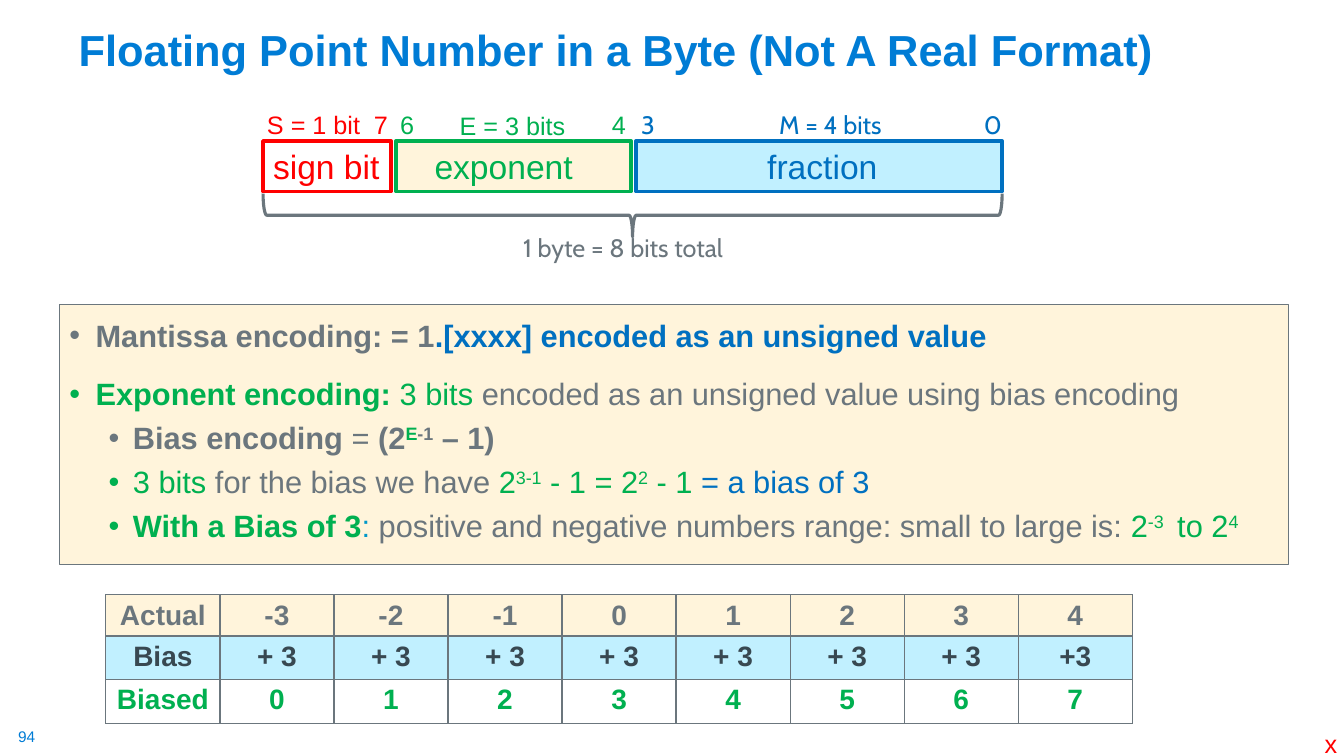
from pptx import Presentation
from pptx.dml.color import RGBColor
from pptx.enum.shapes import MSO_SHAPE
from pptx.enum.text import MSO_ANCHOR, MSO_AUTO_SIZE, PP_ALIGN
from pptx.oxml import parse_xml
from pptx.oxml.ns import nsdecls
from pptx.util import Inches, Pt

COLORS = {"accent": "007CD5", "gray": "6B767D", "blue": "0070C0", "green": "00B050",
          "red": "FF0000", "teal": "0098C9", "dark": "384851",
          "cream": "FFF4DB", "sky": "C1F0FF"}

FIELDS = [
    ("sign bit", 2.61, 1.27, "red", None, 0.1),
    ("exponent", 3.93, 2.33, "green", "cream", 0.38),
    ("fraction", 6.31, 3.63, "blue", "sky", 1.3),
]
LABELS = [
    ("S = 1 bit", 2.55, 1.04, 1.13, "red", "Arial"),
    ("E = 3 bits", 4.46, 1.05, 1.26, "green", "Arial"),
    ("M = 4 bits", 7.63, 1.04, 1.22, "blue", "Cabin"),
    ("0", 9.66, 1.04, 0.33, "blue", "Cabin"),
    ("3", 6.26, 1.04, 0.33, "blue", "Cabin"),
    ("4", 5.97, 1.04, 0.34, "green", "Arial"),
    ("6", 3.87, 1.04, 0.34, "green", "Arial"),
    ("7", 3.61, 1.04, 0.34, "red", "Arial"),
    ("1 byte = 8 bits total", 5.09, 2.26, 2.23, "gray", "Cabin"),
]
NOTES = [
    (0, [("Mantissa encoding: = 1", "gray", "b"),
         (".[xxxx] encoded as an unsigned value", "blue", "b")]),
    (0, [("Exponent encoding: ", "green", "b"), ("3 bits ", "green", ""),
         ("encoded as an unsigned value using bias encoding", "gray", "")]),
    (1, [("Bias encoding ", "gray", "b"), ("= ", "gray", ""), ("(2", "gray", "b"),
         ("E", "green", "b^"), ("-1", "gray", "b^"), (" – 1)", "gray", "b")]),
    (1, [("3 bits ", "green", ""), ("for the bias we have ", "gray", ""),
         ("2", "green", ""), ("3-1", "green", "^"), (" - 1 = 2", "green", ""),
         ("2", "green", "^"), (" - 1 ", "green", ""), ("= a bias of 3", "blue", "")]),
    (1, [("With a Bias of 3", "green", "b"), (": ", "teal", ""),
         ("positive and negative numbers range: small to large is: ", "gray", ""),
         ("2", "green", ""), ("-3 ", "green", "^"), (" to 2", "green", ""),
         ("4", "green", "^")]),
]
LEVELS = [
    {"margin": 0.26, "hang": 0.26, "line_spacing": 1.2, "space_before": Pt(10)},
    {"margin": 0.63, "hang": 0.24, "line_spacing": 1.0, "space_before": Pt(5)},
]
BIAS_ROWS = [
    (5.9, "gray", "cream", ["Actual", *map(str, range(-3, 5))]),
    (6.31, "dark", "sky", ["Bias", *["+ 3"] * 7, "+3"]),
    (6.74, "green", None, ["Biased", *map(str, range(8))]),
]


def rgb(name):
    return RGBColor.from_string(COLORS[name])


def set_all(target, values):
    for name, value in values.items():
        setattr(target, name, value)


def add_span(para, text, color, size, font="Arial", bold=False):
    span = para.add_run()
    span.text = text
    set_all(span.font, {"name": font, "size": Pt(size), "bold": bold})
    span.font.color.rgb = rgb(color)
    return span


def add_panel(page, kind, box, line, weight, fill=None):
    panel = page.shapes.add_shape(kind, *map(Inches, box))
    panel.shadow.inherit = False
    if fill:
        panel.fill.solid()
        panel.fill.fore_color.rgb = rgb(fill)
    else:
        panel.fill.background()
    panel.line.color.rgb = rgb(line)
    panel.line.width = Pt(weight)
    return panel


def write_line(frame, text, color, size, font="Arial", inset=0.1):
    set_all(frame, {"word_wrap": True, "vertical_anchor": MSO_ANCHOR.TOP,
                    "margin_left": Inches(inset), "margin_right": 0})
    para = frame.paragraphs[0]
    para.alignment = PP_ALIGN.LEFT
    add_span(para, text, color, size, font)


def add_label(page, box, text, color, size, font="Arial", inset=0.1):
    label = page.shapes.add_textbox(*map(Inches, box))
    write_line(label.text_frame, text, color, size, font, inset)
    return label


def place_title(page, box, text):
    title = page.shapes.title
    left, top, width, height = map(Inches, box)
    set_all(title, {"left": left, "top": top, "width": width, "height": height})
    set_all(title.text_frame, {"vertical_anchor": MSO_ANCHOR.BOTTOM, "word_wrap": True,
                               "auto_size": MSO_AUTO_SIZE.NONE})
    para = title.text_frame.paragraphs[0]
    set_all(para, {"alignment": PP_ALIGN.LEFT, "line_spacing": 0.9})
    add_span(para, text, "accent", 31, bold=True)


def draw_byte_layout(page, box):
    left, top, width, height = box
    for text, offset, field_width, color, fill, inset in FIELDS:
        field = add_panel(page, MSO_SHAPE.RECTANGLE,
                          (left + offset - FIELDS[0][1], top + 0.36, field_width, 0.5),
                          color, 2.75, fill)
        write_line(field.text_frame, text, color, 24, inset=inset)
    for text, x, y, label_width, color, font in LABELS:
        add_label(page, (left + x - FIELDS[0][1], top + y - 1.04, label_width, 0.4),
                  text, color, 18, font)
    depth = 0.43
    middle = top + 0.88 + depth / 2
    brace = add_panel(page, MSO_SHAPE.LEFT_BRACE,
                      (left + (width - depth) / 2, middle - width / 2, depth, width),
                      "gray", 2.25)
    brace.rotation = 270


def draw_notes(page, box):
    panel = add_panel(page, MSO_SHAPE.RECTANGLE, box, "gray", 0.75, "cream")
    frame = panel.text_frame
    set_all(frame, {"word_wrap": True, "vertical_anchor": MSO_ANCHOR.TOP})
    for index, (level, spans) in enumerate(NOTES):
        para = frame.add_paragraph() if index else frame.paragraphs[0]
        style = LEVELS[level]
        properties = para._p.get_or_add_pPr()
        properties.set("marL", str(Inches(style["margin"])))
        properties.set("indent", str(-Inches(style["hang"])))
        for bullet in ('buFont {} typeface="Arial"', 'buChar {} char="•"'):
            properties.append(parse_xml(f'<a:{bullet.format(nsdecls("a"))}/>'))
        set_all(para, {"level": level, "alignment": PP_ALIGN.LEFT,
                       "line_spacing": style["line_spacing"],
                       "space_before": style["space_before"] if index else Pt(0)})
        for text, color, marks in spans:
            span = add_span(para, text, color, 22, bold="b" in marks)
            if "^" in marks:
                span._r.get_or_add_rPr().set("baseline", "30000")


def format_cell(cell, text, color, fill):
    properties = cell._tc.get_or_add_tcPr()
    for edge in ("lnL", "lnR", "lnT", "lnB"):
        properties.append(parse_xml(
            f'<a:{edge} {nsdecls("a")} w="{Pt(1)}"><a:solidFill>'
            f'<a:srgbClr val="{COLORS["gray"]}"/></a:solidFill></a:{edge}>'))
    if fill:
        cell.fill.solid()
        cell.fill.fore_color.rgb = rgb(fill)
    else:
        cell.fill.background()
    para = cell.text_frame.paragraphs[0]
    para.alignment = PP_ALIGN.CENTER
    add_span(para, text, color, 20, bold=True)


def draw_bias_row(page, box, values, color, fill):
    table = page.shapes.add_table(1, len(values), *map(Inches, box)).table
    set_all(table, {"first_row": False, "horz_banding": False})
    for column, cell, text in zip(table.columns, table.rows[0].cells, values):
        column.width = Inches(box[2] / len(values))
        format_cell(cell, text, color, fill)


def main():
    deck = Presentation()
    set_all(deck, {"slide_width": Inches(13.33), "slide_height": Inches(7.5)})
    page = deck.slides.add_slide(deck.slide_layouts.get_by_name("Title Only"))
    place_title(page, (0.68, 0.21, 11.5, 0.59),
                "Floating Point Number in a Byte (Not A Real Format)")
    draw_notes(page, (0.59, 3.02, 12.19, 2.58))
    draw_byte_layout(page, (2.61, 1.04, 7.33, 1.62))
    for top, color, fill, values in BIAS_ROWS:
        draw_bias_row(page, (1.05, top, 10.18, 0.43), values, color, fill)
    number = add_label(page, (0.18, 7.21, 0.25, 0.19), "94", "accent", 11, inset=0)
    set_all(number.text_frame, {"margin_top": 0, "margin_bottom": 0})
    add_label(page, (13.04, 7.18, 0.29, 0.32), "x", "red", 18)
    deck.save("out.pptx")


if __name__ == "__main__":
    main()
